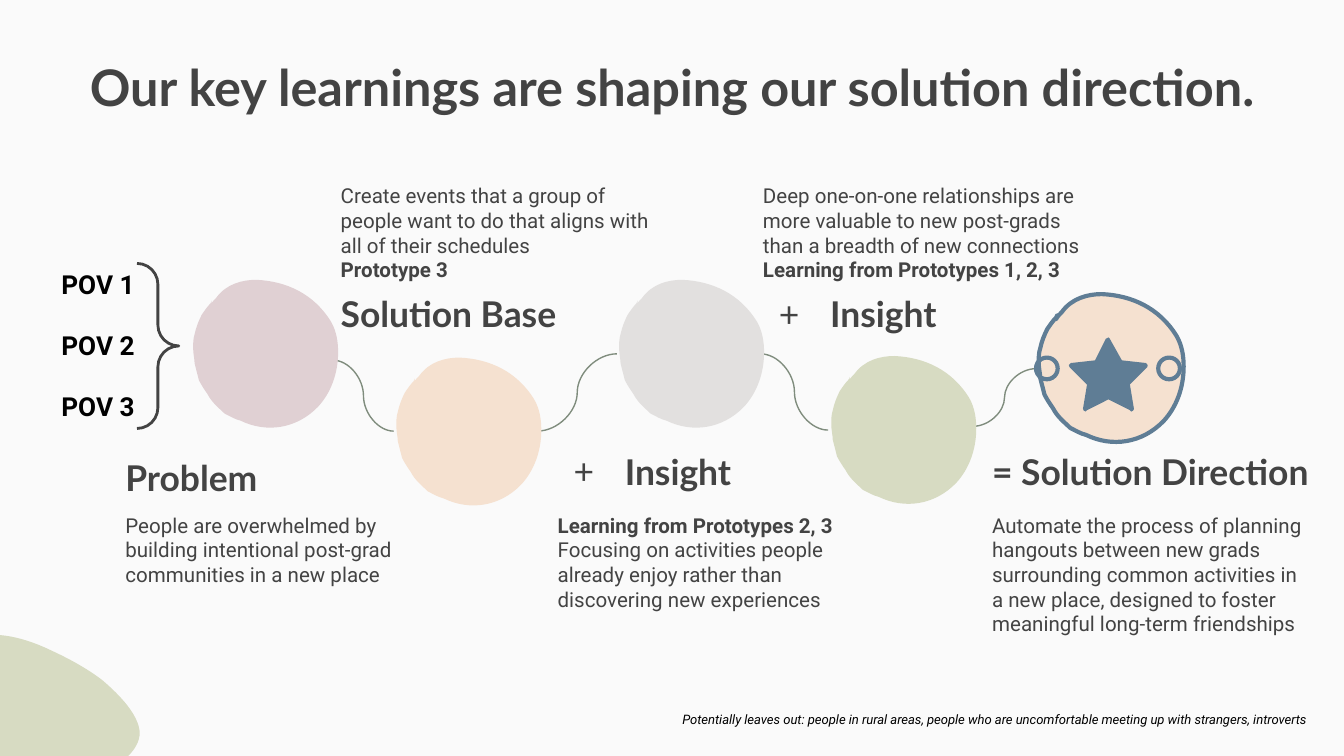
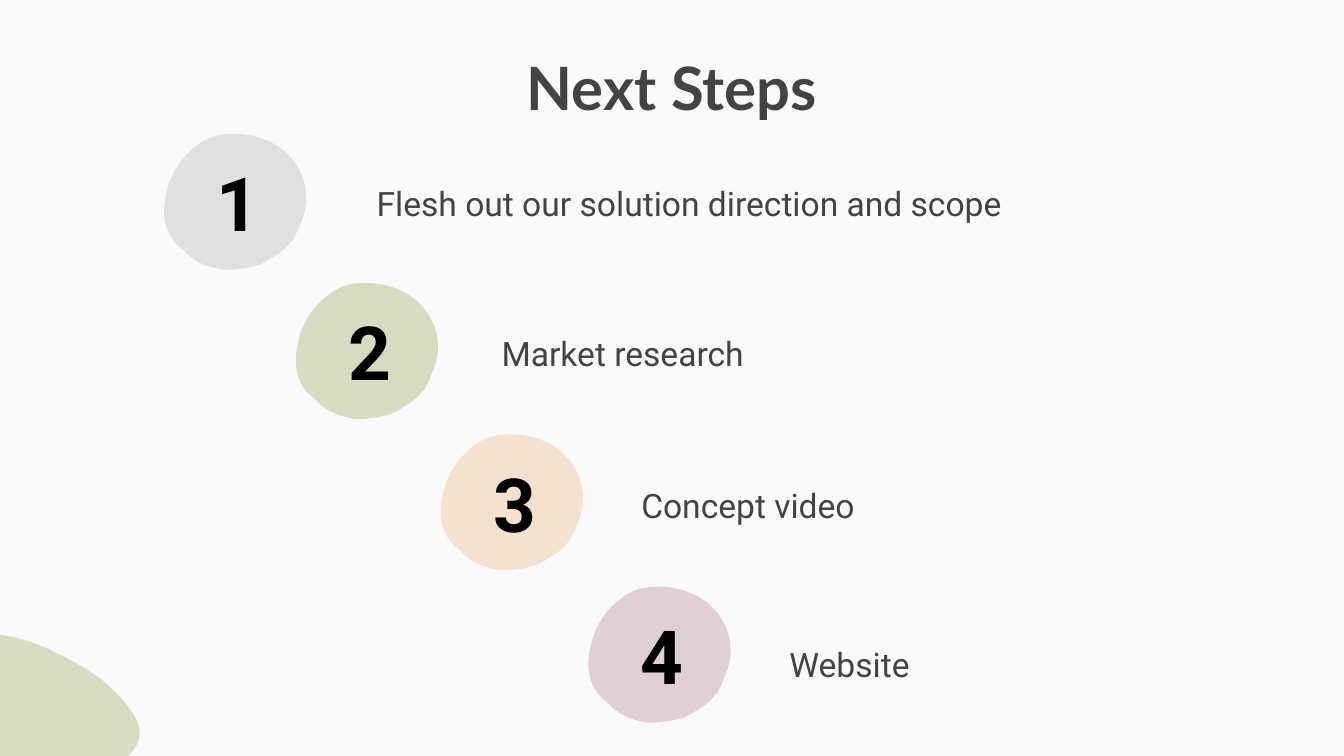
from dataclasses import dataclass

from lxml.etree import Element, SubElement
from pptx import Presentation
from pptx.dml.color import RGBColor
from pptx.enum.shapes import MSO_CONNECTOR, MSO_SHAPE
from pptx.enum.text import MSO_ANCHOR, PP_ALIGN
from pptx.oxml.ns import qn
from pptx.util import Cm, Pt


@dataclass(frozen=True)
class Theme:
    background: str = "FAFAFA"
    text: str = "434343"
    black: str = "000000"
    rose: str = "E0D0D3"
    peach: str = "F5E1D0"
    grey: str = "E2E0DF"
    green: str = "D7DBC2"
    blue: str = "5F7D95"
    connector: str = "7F8C7D"
    heading_font: str = "Lato"
    body_font: str = "Roboto"
    heading_size: float = 19
    body_size: float = 11
    pov_size: float = 14
    footnote_size: float = 7
    step_size: float = 18
    number_size: float = 40


THEME = Theme()
SLIDE_WIDTH, SLIDE_HEIGHT = 25.4, 14.29

# Outlines: span, start, then one point for a line or three for a curve.
BLOB = ((110, 101), (52, 0), [
    [(67, 0), (81, 5), (91, 14)], [(107, 29), (110, 50), (101, 68)],
    [(100, 72), (98, 75), (96, 79)], [(92, 83), (88, 88), (82, 91)],
    [(79, 93), (76, 95), (72, 97)], [(68, 98), (64, 99), (60, 100)],
    [(57, 100), (53, 101), (49, 101)], [(46, 101), (42, 101), (39, 100)],
    [(34, 99), (29, 97), (25, 95)], [(22, 93), (19, 91), (17, 89)],
    [(15, 88)], [(17, 88), (18, 89), (18, 89)],
    [(18, 89), (16, 88), (13, 85)], [(3, 78), (0, 67), (0, 57)],
    [(1, 36), (10, 17), (30, 5)], [(37, 1), (45, 0), (52, 0)],
])
STAR = ((60, 55), (30, 0), [
    [(29, 0), (29, 0), (28, 1)], [(20, 17)], [(2, 19)],
    [(0, 20), (0, 21), (1, 22)], [(14, 35)], [(11, 53)],
    [(11, 54), (12, 55), (13, 55)], [(13, 55), (13, 55), (14, 54)],
    [(30, 46)], [(46, 54)], [(47, 55), (47, 55), (47, 55)],
    [(48, 55), (49, 54), (49, 53)], [(46, 35)], [(59, 22)],
    [(60, 21), (59, 20), (58, 19)], [(40, 17)], [(31, 1)],
    [(31, 0), (31, 0), (30, 0)],
])
CORNER = ((100, 100), (76, 506), [
    [(90, 518), (103, 532), (104, 545)],
    [(104, 552), (100, 558), (96, 562)], [(78, 583), (27, 621), (-17, 588)],
    [(-26, 581), (-32, 573), (-35, 564)], [(-46, 539), (-42, 510), (-35, 491)],
    [(-26, 466), (7, 469), (38, 484)], [(51, 490), (64, 497), (76, 506)],
])

LEARNINGS_TITLE = ("Our key learnings are shaping our solution direction.", 27)
POINTS_OF_VIEW = ["POV 1", "POV 2", "POV 3"]
FOOTNOTE = ("Potentially leaves out: people in rural areas, people who are "
            "uncomfortable meeting up with strangers, introverts")
# Heading, has a plus bullet, left, heading top, body above, body (text, bold)
STAGES = [
    ("Problem", False, 2.12, 8.38, False,
     [("People are overwhelmed by building intentional post-grad communities "
       "in a new place", False)]),
    ("Solution Base", False, 6.19, 5.28, True,
     [("Create events that a group of people want to do that aligns with all "
       "of their schedules", False), ("Prototype 3", True)]),
    ("Insight", True, 10.29, 8.26, False,
     [("Learning from Prototypes 2, 3", True),
      ("Focusing on activities people already enjoy rather than discovering "
       "new experiences", False)]),
    ("Insight", True, 14.17, 5.28, True,
     [("Deep one-on-one relationships are more valuable to new post-grads "
       "than a breadth of new connections", False),
      ("Learning from Prototypes 1, 2, 3", True)]),
    ("= Solution Direction", False, 18.5, 8.26, False,
     [("Automate the process of planning hangouts between new grads "
       "surrounding common activities in a new place, designed to foster "
       "meaningful long-term friendships", False)]),
]
STAGE_BLOBS = [
    (3.57, 5.37, THEME.rose), (7.41, 6.84, THEME.peach),
    (11.62, 5.37, THEME.grey), (15.63, 6.81, THEME.green),
    (19.55, 5.64, THEME.peach),
]
STAGE_LINKS = [
    (6.3, 6.81, 7.44, 8.15), (10.16, 8.15, 11.66, 6.69),
    (14.38, 6.69, 15.65, 8.13), (18.39, 8.06, 19.58, 6.97),
]

STEPS_TITLE = ("Next Steps", 32)
# Text, blob left and top, colour, text box
STEPS = [
    ("Flesh out our solution direction and scope", 3.1, 2.53, THEME.grey,
     (6.87, 3.1, 15.65, 1.45)),
    ("Market research", 5.59, 5.35, THEME.green, (9.23, 5.93, 6.05, 1.22)),
    ("Concept video", 8.33, 8.21, THEME.peach, (11.87, 8.8, 6.05, 1.42)),
    ("Website", 11.12, 11.09, THEME.rose, (14.67, 11.81, 6.05, 1.22)),
]


def colour(value):
    return RGBColor.from_string(value)


def style_shape(shape, fill=None, line=None, line_width=2.25):
    shape.shadow.inherit = False
    if fill:
        shape.fill.solid()
        shape.fill.fore_color.rgb = colour(fill)
    else:
        shape.fill.background()
    if line:
        shape.line.color.rgb = colour(line)
        shape.line.width = Pt(line_width)
    else:
        shape.line.fill.background()


def bend_segments(shape, segments):
    """Merge each run of three line points into one cubic curve."""
    lines = iter(list(shape._element.iter(qn("a:lnTo"))))
    for segment in segments:
        group = [next(lines) for _ in segment]
        if len(group) == 3:
            curve = Element(qn("a:cubicBezTo"))
            group[0].addprevious(curve)
            for line in group:
                curve.append(line[0])
                line.getparent().remove(line)


def add_outline(slide, outline, left, top, width, height, fill, line=None):
    (span_x, span_y), start, segments = outline
    points = [(Cm(width) * x / span_x, Cm(height) * y / span_y)
              for x, y in [start, *sum(segments, [])]]
    builder = slide.shapes.build_freeform(*points[0])
    builder.add_line_segments(points[1:], close=True)
    shape = builder.convert_to_shape(Cm(left), Cm(top))
    bend_segments(shape, segments)
    style_shape(shape, fill, line)
    return shape


def add_text(slide, box, lines, size, font=THEME.body_font, color=THEME.text,
             align=PP_ALIGN.LEFT, anchor=MSO_ANCHOR.TOP, italic=False,
             wrap=True):
    """Write (text, bold) lines as the paragraphs of a text box."""
    frame = slide.shapes.add_textbox(*map(Cm, box)).text_frame
    frame.word_wrap = wrap
    frame.vertical_anchor = anchor
    frame.margin_left = frame.margin_right = Cm(0.25)
    frame.margin_top = frame.margin_bottom = Cm(0.25)
    frame.text = "\n".join(text for text, _ in lines)
    for paragraph, (_, bold) in zip(frame.paragraphs, lines):
        paragraph.alignment = align
        for run in paragraph.runs:
            run.font.name = font
            run.font.size = Pt(size)
            run.font.bold = bold
            run.font.italic = italic
            run.font.color.rgb = colour(color)
    return frame


def add_plus_bullet(paragraph):
    properties = paragraph._p.get_or_add_pPr()
    properties.set("marL", str(Cm(1.27)))
    properties.set("indent", str(Cm(-0.97)))
    bullet_colour = SubElement(properties, qn("a:buClr"))
    SubElement(bullet_colour, qn("a:srgbClr"), val=THEME.text)
    SubElement(properties, qn("a:buFont"), typeface=THEME.heading_font)
    SubElement(properties, qn("a:buChar"), char="+")


def add_link(slide, ends):
    connector = slide.shapes.add_connector(MSO_CONNECTOR.CURVE, *map(Cm, ends))
    connector.line.color.rgb = colour(THEME.connector)
    connector.line.width = Pt(0.75)
    SubElement(connector._element.spPr, qn("a:effectLst"))


def add_slide(presentation, title, size):
    slide = presentation.slides.add_slide(presentation.slide_layouts[6])
    slide.background.fill.solid()
    slide.background.fill.fore_color.rgb = colour(THEME.background)
    add_outline(slide, CORNER, 0, 0, 2.54, 2.54, THEME.green)
    width = 22.91
    add_text(slide, ((SLIDE_WIDTH - width) / 2, 0.84, width, 1.6),
             [(title, True)], size, THEME.heading_font,
             align=PP_ALIGN.CENTER, anchor=MSO_ANCHOR.MIDDLE)
    return slide


def add_stage(slide, heading, has_plus, left, top, body_above, body):
    width = 6.55
    frame = add_text(slide, (left, top, width, 1.3), [(heading, True)],
                     THEME.heading_size, THEME.heading_font,
                     anchor=MSO_ANCHOR.MIDDLE)
    if has_plus:
        add_plus_bullet(frame.paragraphs[0])
    if body_above:
        box, anchor = (left, 2.23, width, 3.35), MSO_ANCHOR.BOTTOM
    else:
        box, anchor = (left, 9.44, width, 2.9), MSO_ANCHOR.TOP
    add_text(slide, box, body, THEME.body_size, anchor=anchor)


def build_learnings(presentation):
    slide = add_slide(presentation, *LEARNINGS_TITLE)
    for ends in STAGE_LINKS:
        add_link(slide, ends)
    for left, top, fill in STAGE_BLOBS:
        is_last = (left, top, fill) == STAGE_BLOBS[-1]
        blob = add_outline(slide, BLOB, left, top, 2.9, 2.74, fill,
                           THEME.blue if is_last else None)
        blob.rotation = 90
    for left in (19.58, 21.89):
        ring = slide.shapes.add_shape(MSO_SHAPE.OVAL, Cm(left), Cm(6.76),
                                      Cm(0.41), Cm(0.41))
        style_shape(ring, line=THEME.blue)
    add_outline(slide, STAR, 20.19, 6.38, 1.52, 1.4, THEME.blue)

    for stage in STAGES:
        add_stage(slide, *stage)
    for index, name in enumerate(POINTS_OF_VIEW):
        add_text(slide, (0.91, 4.83 + 1.15 * index, 1.93, 1.12),
                 [(name, True)], THEME.pov_size, color=THEME.black, wrap=False)
    brace = slide.shapes.add_shape(MSO_SHAPE.RIGHT_BRACE, Cm(2.59), Cm(4.98),
                                   Cm(0.79), Cm(3.12))
    brace.adjustments[0] = brace.adjustments[1] = 0.5
    style_shape(brace, line=THEME.text, line_width=1.5)
    add_text(slide, (6.02, 13.3, 18.92, 0.81), [(FOOTNOTE, False)],
             THEME.footnote_size, color=THEME.black, align=PP_ALIGN.RIGHT,
             italic=True)


def build_steps(presentation):
    slide = add_slide(presentation, *STEPS_TITLE)
    blob_width, blob_height = 2.79, 2.57
    number_width, number_height = 2.44, 2.01
    for number, (text, left, top, fill, box) in enumerate(STEPS, start=1):
        add_outline(slide, BLOB, left, top, blob_width, blob_height, fill)
        add_text(slide, (left + (blob_width - number_width) / 2,
                         top + (blob_height - number_height) / 2,
                         number_width, number_height),
                 [(str(number), True)], THEME.number_size, color=THEME.black,
                 align=PP_ALIGN.CENTER, anchor=MSO_ANCHOR.MIDDLE)
        frame = add_text(slide, box, [(text, False)], THEME.step_size)
        frame.paragraphs[0].line_spacing = 1.15


def main():
    presentation = Presentation()
    presentation.slide_width = Cm(SLIDE_WIDTH)
    presentation.slide_height = Cm(SLIDE_HEIGHT)
    build_learnings(presentation)
    build_steps(presentation)
    presentation.save("out.pptx")


if __name__ == "__main__":
    main()
